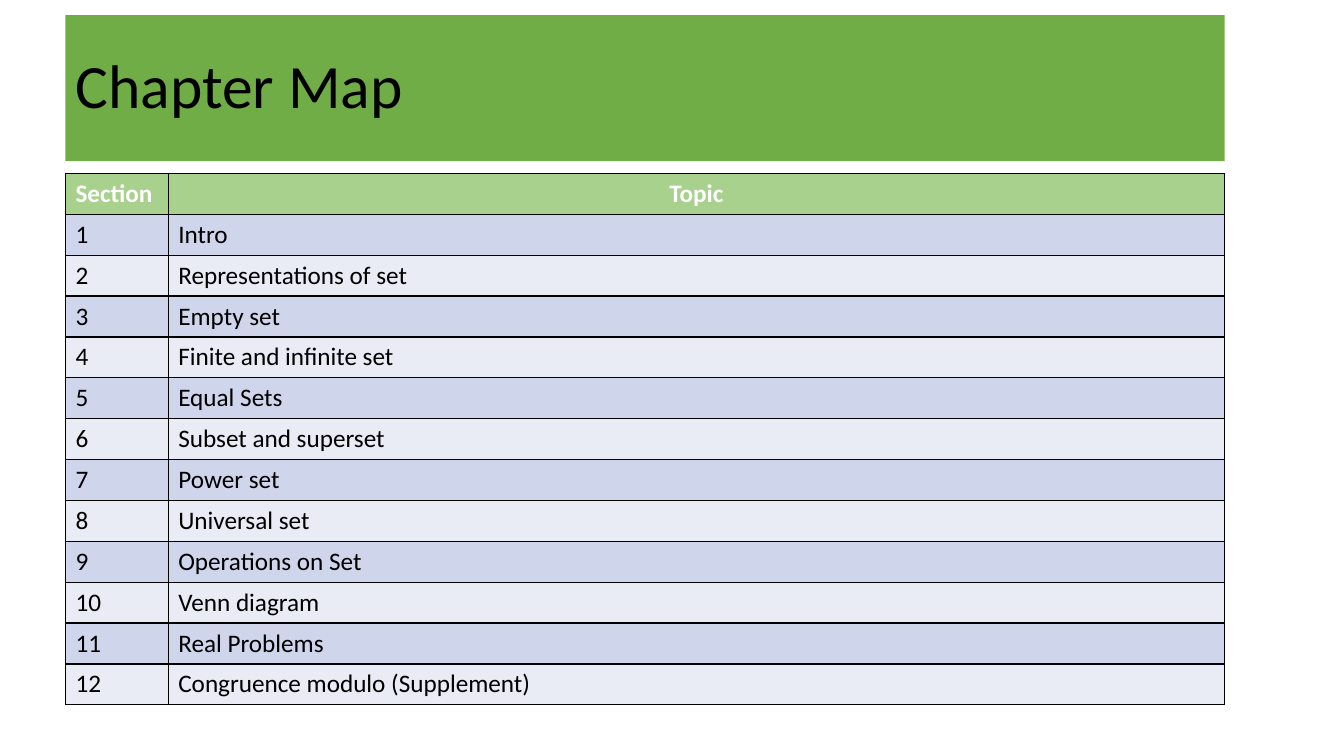
"""Build the chapter map slide: a title band above a table of topics."""
from dataclasses import dataclass

from lxml import etree
from pptx import Presentation
from pptx import util as u
from pptx.dml import color
from pptx.enum import text
from pptx.oxml import ns

COLORS = {
    "band": "70AD47",
    "header": "A9D18E",
    "odd": "CFD5EA",
    "even": "E9EBF5",
    "ink": "000000",
    "light": "FFFFFF",
}
FONT = "Calibri"
LEFT, WIDTH = u.Cm(1.65), u.Cm(29.21)
TABLE_TOP, ROW_HEIGHT = u.Cm(4.37), u.Cm(1.03)
SECTION_WIDTH = u.Cm(2.59)
TOPICS = [
    "Intro", "Representations of set", "Empty set", "Finite and infinite set",
    "Equal Sets", "Subset and superset", "Power set", "Universal set",
    "Operations on Set", "Venn diagram", "Real Problems",
    "Congruence modulo (Supplement)",
]


@dataclass
class MapRow:
    """One table row with its look."""
    section: str
    topic: str
    fill: str
    ink: str = "ink"
    bold: bool = False
    topic_align: text.PP_ALIGN = text.PP_ALIGN.LEFT


def rgb(name: str) -> color.RGBColor:
    """Return the named colour."""
    return color.RGBColor.from_string(COLORS[name])


def style_paragraph(para, size: int, ink: str, bold: bool, align) -> None:
    """Set the font and alignment of a paragraph."""
    para.alignment = align
    para.font.name = FONT
    para.font.size = u.Pt(size)
    para.font.bold = bold
    para.font.color.rgb = rgb(ink)


def add_borders(cell) -> None:
    """Draw a thin line on all four sides of a cell."""
    properties = cell._tc.get_or_add_tcPr()
    for index, side in enumerate(("lnL", "lnR", "lnT", "lnB")):
        line = etree.Element(ns.qn(f"a:{side}"), w=str(u.Pt(1)))
        fill = etree.SubElement(line, ns.qn("a:solidFill"))
        etree.SubElement(fill, ns.qn("a:srgbClr"), val=COLORS["ink"])
        properties.insert(index, line)


def format_title(title) -> None:
    """Turn the title placeholder into the green band."""
    title.left, title.top, title.width, title.height = LEFT, u.Cm(0.38), WIDTH, u.Cm(3.68)
    title.fill.solid()
    title.fill.fore_color.rgb = rgb("band")
    frame = title.text_frame
    frame.text = "Chapter Map"
    frame.auto_size = text.MSO_AUTO_SIZE.NONE
    frame.vertical_anchor = text.MSO_ANCHOR.MIDDLE
    para = frame.paragraphs[0]
    style_paragraph(para, 44, "ink", False, text.PP_ALIGN.LEFT)
    para.line_spacing = 0.9


def fill_cell(cell, words: str, row: MapRow, align) -> None:
    """Write and format one table cell."""
    cell.text = words
    cell.fill.solid()
    cell.fill.fore_color.rgb = rgb(row.fill)
    style_paragraph(cell.text_frame.paragraphs[0], 18, row.ink, row.bold, align)
    add_borders(cell)


def add_map(slide, rows: list[MapRow]) -> None:
    """Add the table of sections and topics."""
    table = slide.shapes.add_table(
        len(rows), 2, LEFT, TABLE_TOP, WIDTH, ROW_HEIGHT * len(rows)).table
    table.columns[0].width = SECTION_WIDTH
    table.columns[1].width = WIDTH - SECTION_WIDTH
    for index, row in enumerate(rows):
        table.rows[index].height = ROW_HEIGHT
        fill_cell(table.cell(index, 0), row.section, row, text.PP_ALIGN.LEFT)
        fill_cell(table.cell(index, 1), row.topic, row, row.topic_align)


deck = Presentation()
deck.slide_width, deck.slide_height = u.Cm(33.87), u.Cm(19.05)
page = deck.slides.add_slide(deck.slide_layouts.get_by_name("Title Only"))
format_title(page.shapes.title)
header = MapRow("Section", "Topic", "header", "light", True, text.PP_ALIGN.CENTER)
add_map(page, [header] + [
    MapRow(str(number), topic, "odd" if number % 2 else "even")
    for number, topic in enumerate(TOPICS, start=1)
])
deck.save("out.pptx")
